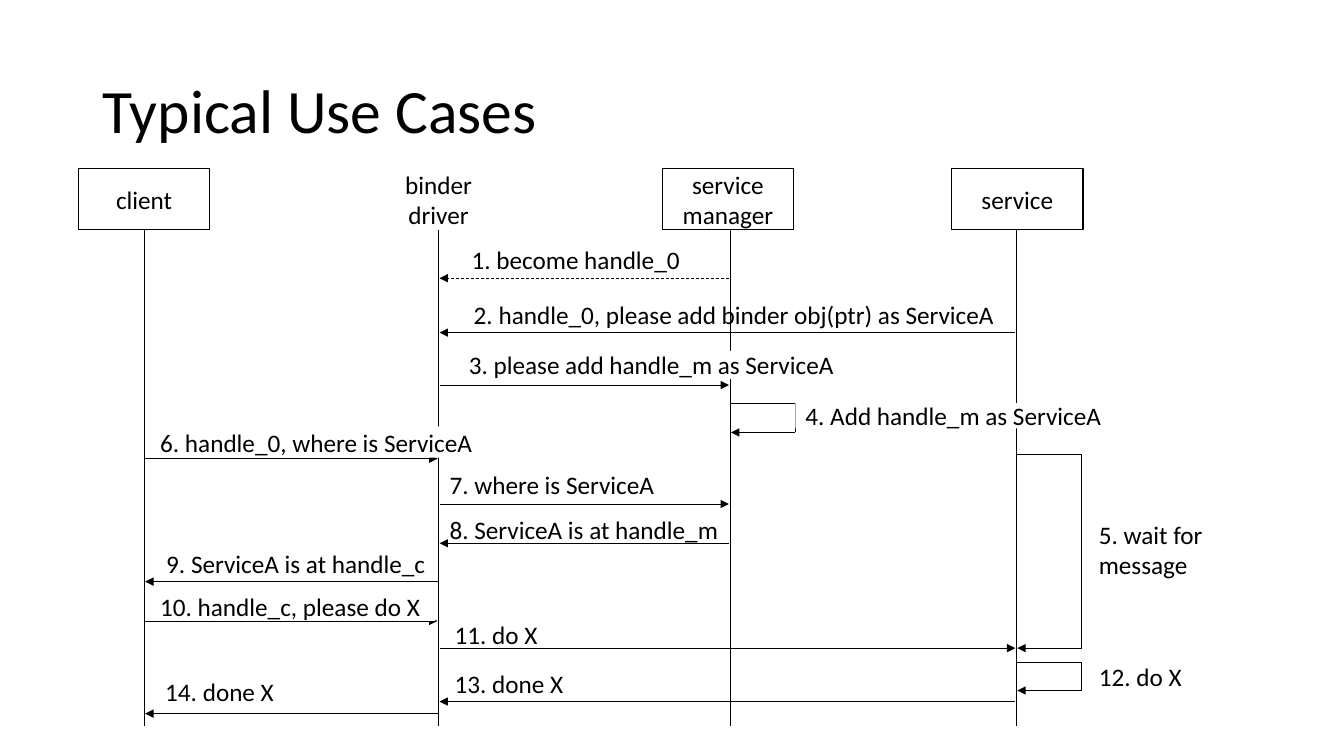
from dataclasses import dataclass

from lxml import etree
from pptx import Presentation
from pptx.dml.color import RGBColor
from pptx.enum.dml import MSO_LINE
from pptx.enum.shapes import MSO_CONNECTOR, MSO_SHAPE
from pptx.enum.text import MSO_ANCHOR, PP_ALIGN
from pptx.oxml.ns import qn
from pptx.util import Inches, Pt

RECT = MSO_SHAPE.RECTANGLE
STRAIGHT = MSO_CONNECTOR.STRAIGHT
DASH = MSO_LINE.DASH
MIDDLE = MSO_ANCHOR.MIDDLE
LEFT, CENTER = PP_ALIGN.LEFT, PP_ALIGN.CENTER


@dataclass(frozen=True)
class Theme:
    ink: RGBColor = RGBColor(0, 0, 0)
    paper: RGBColor = RGBColor(255, 255, 255)
    font: str = "Calibri"
    title: int = 44
    body: int = 18
    edge: float = 1
    wire: float = 0.5


THEME = Theme()
HEAD_W, HEAD_H = 1.3, 0.61
LOOP_W, GAP = 0.64, 0.01

LANES = [
    (0.65, 0.65, "client", True),
    (3.57, 3.57, "binder driver", False),
    (6.46, 6.44, "service\nmanager", True),
    (9.30, 9.31, "service", True),
]
ARROWS = [
    (2, 1, 1.09, True),
    (3, 1, 1.63, False),
    (1, 2, 2.15, False),
    (0, 1, 2.88, False),
    (1, 2, 3.33, False),
    (2, 1, 3.72, False),
    (1, 0, 4.10, False),
    (0, 1, 4.49, False),
    (1, 3, 4.76, False),
    (3, 1, 5.29, False),
    (1, 0, 5.41, False),
]
LOOPS = [(2, 2.33, 2.62), (3, 2.84, 4.76), (3, 4.90, 5.18)]
BACK = [
    (1, 0.10, 0.72, 2.52, 0.37, CENTER, "1. become handle_0"),
    (1, 0.21, 1.17, 5.44, 0.56, CENTER,
     "2. handle_0, please add binder obj(ptr) as ServiceA"),
]
FRONT = [
    (1, 0.11, 1.81, 4.00, 0.28, CENTER, "3. please add handle_m as ServiceA"),
    (2, 0.65, 2.33, 3.27, 0.25, LEFT, "4. Add handle_m as ServiceA"),
    (3, 0.72, 3.47, 1.34, 0.62, LEFT, "5. wait for message"),
    (0, 0.06, 2.56, 3.42, 0.31, LEFT, "6. handle_0, where is ServiceA"),
    (1, 0.01, 2.99, 2.29, 0.29, LEFT, "7. where is ServiceA"),
    (1, 0.01, 3.48, 2.88, 0.20, LEFT, "8. ServiceA is at handle_m"),
    (0, 0.12, 3.76, 2.78, 0.32, LEFT, "9. ServiceA is at handle_c"),
    (0, 0.06, 4.20, 2.83, 0.29, LEFT, "10. handle_c, please do X"),
    (1, 0.06, 4.52, 1.89, 0.21, LEFT, "11. do X"),
    (3, 0.72, 4.92, 1.34, 0.25, LEFT, "12. do X"),
    (1, 0.06, 5.00, 1.89, 0.22, LEFT, "13. done X"),
    (0, 0.11, 5.02, 1.55, 0.33, LEFT, "14. done X"),
]


def write(shape, text, size, align):
    frame = shape.text_frame
    frame.word_wrap = True
    frame.vertical_anchor = MIDDLE
    frame.text = text
    for para in frame.paragraphs:
        para.alignment = align
        para.font.name = THEME.font
        para.font.size = Pt(size)
        para.font.color.rgb = THEME.ink


def add_box(slide, x, y, w, h, text, align, edge=False):
    shape = slide.shapes.add_shape(RECT, Inches(x), Inches(y), Inches(w), Inches(h))
    shape.shadow.inherit = False
    shape.fill.solid()
    shape.fill.fore_color.rgb = THEME.paper
    if edge:
        shape.line.color.rgb = THEME.ink
        shape.line.width = Pt(THEME.edge)
    else:
        shape.line.fill.background()
    write(shape, text, THEME.body, align)


def add_wire(slide, x1, y1, x2, y2, tip=False, dash=False):
    wire = slide.shapes.add_connector(
        STRAIGHT, Inches(x1), Inches(y1), Inches(x2), Inches(y2))
    wire.line.color.rgb = THEME.ink
    wire.line.width = Pt(THEME.wire)
    if dash:
        wire.line.dash_style = DASH
    if tip:
        etree.SubElement(wire.line._get_or_add_ln(), qn("a:tailEnd"), type="triangle")
    etree.SubElement(wire._element.spPr, qn("a:effectLst"))


def add_title(slide, box, text):
    shape = slide.shapes.add_textbox(*map(Inches, box))
    write(shape, text, THEME.title, LEFT)
    shape.text_frame.paragraphs[0].line_spacing = 0.9


def add_labels(slide, left, top, labels):
    for lane, dx, y, w, h, align, text in labels:
        add_box(slide, left + LANES[lane][0] + dx, top + y, w, h, text, align)


def add_loop(slide, x, y1, y2):
    right = x + LOOP_W
    add_wire(slide, x, y1, right, y1)
    add_wire(slide, right, y1, right, y2)
    add_wire(slide, right, y2, x, y2, tip=True)


def add_flow(slide, box):
    left, top, _, height = box
    for _, mid, name, edge in LANES:
        add_box(slide, left + mid - HEAD_W / 2, top, HEAD_W, HEAD_H, name, CENTER, edge)
    add_labels(slide, left, top, BACK)
    for x, *_ in LANES:
        add_wire(slide, left + x, top + HEAD_H, left + x, top + height)
    for start, end, y, dash in ARROWS:
        gap = GAP if end > start else -GAP
        add_wire(slide, left + LANES[start][0] + gap, top + y,
                 left + LANES[end][0] - gap, top + y, True, dash)
    for lane, y1, y2 in LOOPS:
        add_loop(slide, left + LANES[lane][0] + GAP, top + y1, top + y2)
    add_labels(slide, left, top, FRONT)


def main():
    deck = Presentation()
    deck.slide_width, deck.slide_height = Inches(13.33), Inches(7.5)
    slide = deck.slides.add_slide(deck.slide_layouts[6])
    add_title(slide, (0.92, 0.4, 11.5, 1.45), "Typical Use Cases")
    add_flow(slide, (0.78, 1.67, 11.36, 5.53))
    deck.save("out.pptx")


if __name__ == "__main__":
    main()
